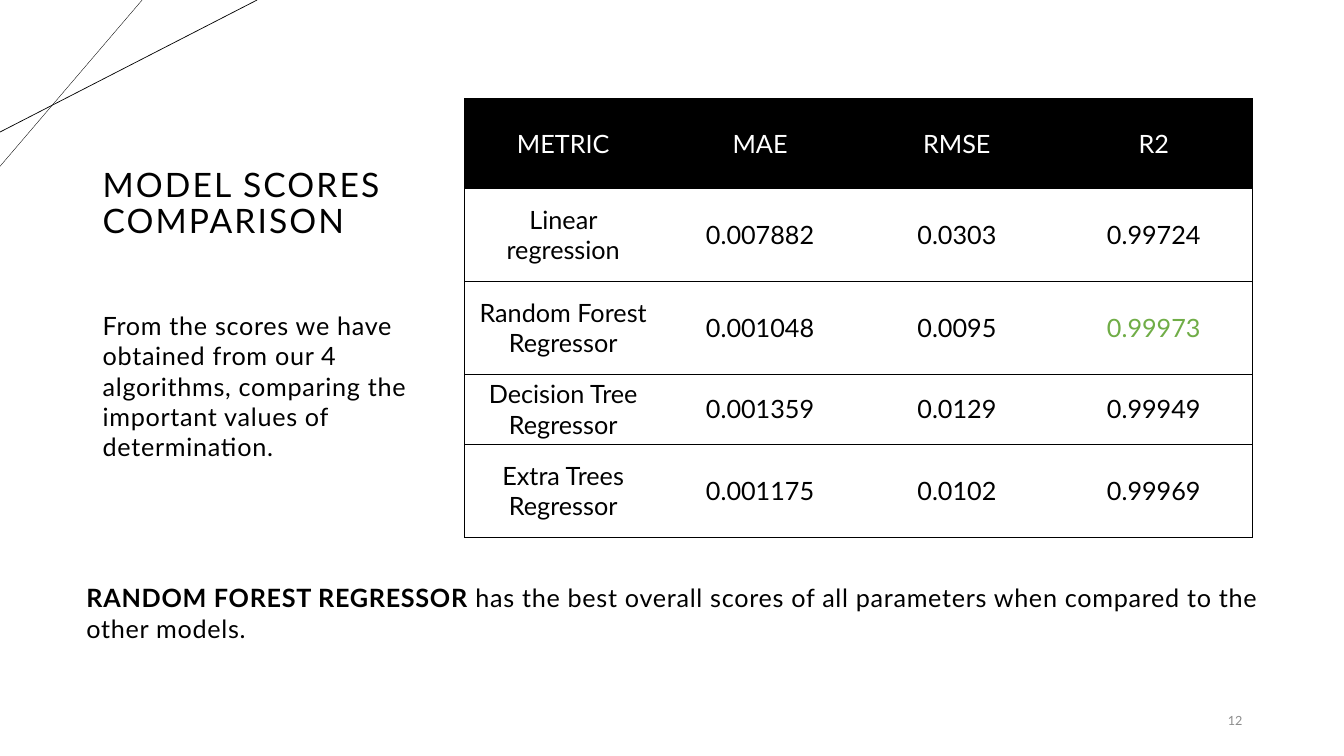
from lxml.etree import SubElement
from pptx import Presentation
from pptx.dml.color import RGBColor
from pptx.enum.shapes import MSO_CONNECTOR as Connector
from pptx.enum.text import MSO_ANCHOR as Anchor, PP_ALIGN as Align
from pptx.oxml.ns import qn
from pptx.util import Inches, Pt

BLACK = "000000"
WHITE = "FFFFFF"
GREEN = "70AD47"
GREY = "8C8C8C"

HEADERS = ["METRIC", "MAE", "RMSE", "R2"]
SCORES = [
    ["Linear regression", "0.007882", "0.0303", "0.99724"],
    ["Random Forest Regressor", "0.001048", "0.0095", "0.99973"],
    ["Decision Tree Regressor", "0.001359", "0.0129", "0.99949"],
    ["Extra Trees Regressor", "0.001175", "0.0102", "0.99969"],
]
BEST_SCORE = "0.99973"
ROW_HEIGHTS = [0.89, 0.92, 0.92, 0.64, 0.92]


def color(value):
    return RGBColor.from_string(value)


def write_text(paragraph, text, font="Lato", size=18, fill=BLACK, bold=False,
               spacing=0, align=Align.LEFT):
    paragraph.alignment = align
    run = paragraph.add_run()
    run.text = text
    run.font.name = font
    run.font.size = Pt(size)
    run.font.bold = bold
    run.font.color.rgb = color(fill)
    if spacing:
        run._r.get_or_add_rPr().set("spc", str(round(spacing * 100)))


class SlideBuilder:
    border_width = 0.5

    def __init__(self, slide):
        self.slide = slide

    def line(self, start, end, width):
        points = [Inches(value) for value in (*start, *end)]
        connector = self.slide.shapes.add_connector(Connector.STRAIGHT, *points)
        connector.line.color.rgb = color(BLACK)
        connector.line.width = Pt(width)
        SubElement(connector._element.spPr, qn("a:effectLst"))

    def text_box(self, box, top_inset=0.05, anchor=Anchor.TOP):
        shape = self.slide.shapes.add_textbox(*map(Inches, box))
        frame = shape.text_frame
        frame.word_wrap = True
        frame.margin_top = Inches(top_inset)
        frame.vertical_anchor = anchor
        return frame.paragraphs[0]

    def body(self, box, *parts):
        paragraph = self.text_box(box, top_inset=0)
        paragraph.space_before = Pt(10)
        for text, bold in parts:
            write_text(paragraph, text, bold=bold, spacing=0.5)

    def borders(self, cell, visible):
        properties = cell._tc.get_or_add_tcPr()
        for side in "LRTB":
            border = SubElement(properties, qn(f"a:ln{side}"))
            if side in visible:
                border.set("w", str(Pt(self.border_width)))
                fill = SubElement(border, qn("a:solidFill"))
                SubElement(fill, qn("a:srgbClr")).set("val", BLACK)
            else:
                border.set("w", "0")
                SubElement(border, qn("a:noFill"))

    def table(self, box, rows, heights):
        count = len(rows[0])
        shape = self.slide.shapes.add_table(len(rows), count, *map(Inches, box))
        table = shape.table
        for column in table.columns:
            column.width = Inches(box[2] / count)
        for row, height in zip(table.rows, heights):
            row.height = Inches(height)
        for row_index, row in enumerate(rows):
            for column_index, text in enumerate(row):
                cell = table.cell(row_index, column_index)
                sides = "TB"
                if column_index == 0:
                    sides += "L"
                if column_index == count - 1:
                    sides += "R"
                self.borders(cell, sides)
                header = row_index == 0
                cell.fill.solid()
                cell.fill.fore_color.rgb = color(BLACK if header else WHITE)
                cell.vertical_anchor = Anchor.MIDDLE
                ink = WHITE if header else GREEN if text == BEST_SCORE else BLACK
                write_text(cell.text_frame.paragraphs[0], text, fill=ink,
                           align=Align.CENTER)


def main():
    presentation = Presentation()
    presentation.slide_width = Inches(13.33)
    presentation.slide_height = Inches(7.5)
    slide = presentation.slides.add_slide(presentation.slide_layouts[6])
    builder = SlideBuilder(slide)

    builder.line((1.41, 0), (0, 1.65), 0.25)
    builder.line((2.55, 0), (0, 1.31), 0.5)

    title = builder.text_box((0.92, 0.98, 3.55, 2.1), anchor=Anchor.MIDDLE)
    title.line_spacing = 0.9
    write_text(title, "MODEL SCORES COMPARISON", size=24, spacing=1.5)

    builder.body(
        (0.92, 3.08, 3.55, 1.59),
        ("From the scores we have obtained from our 4 algorithms, "
         "comparing the important values of determination.", False),
    )
    builder.table((4.61, 0.98, 7.81, 4.34), [HEADERS, *SCORES], ROW_HEIGHTS)

    number = builder.text_box((11.34, 6.95, 1.08, 0.4), anchor=Anchor.MIDDLE)
    write_text(number, "12", size=9, fill=GREY, align=Align.RIGHT)

    builder.body(
        (0.76, 5.78, 12.03, 0.74),
        ("RANDOM FOREST REGRESSOR ", True),
        ("has the best overall scores of all parameters when compared "
         "to the other models.", False),
    )
    presentation.save("out.pptx")


if __name__ == "__main__":
    main()
